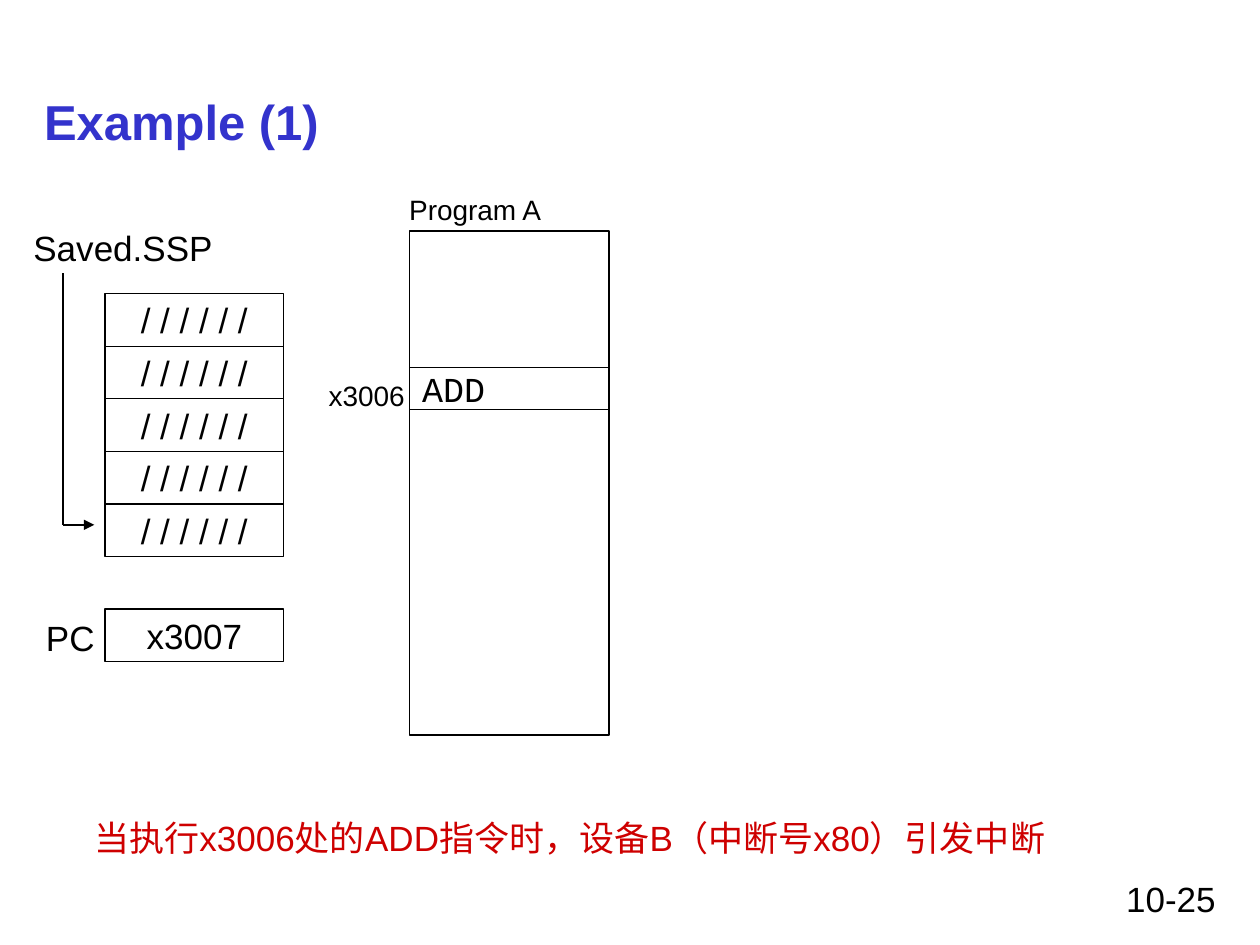
import pptx
import pptx.util
import pptx.dml.color
import pptx.enum.shapes
import pptx.enum.text
import pptx.oxml
import pptx.oxml.ns
from pptx.util import Cm, Pt

RGBColor = pptx.dml.color.RGBColor
BLACK = RGBColor(0x00, 0x00, 0x00)
BLUE = RGBColor(0x33, 0x33, 0xCC)
RED = RGBColor(0xCE, 0x00, 0x00)
LEFT = pptx.enum.text.PP_ALIGN.LEFT
CENTER = pptx.enum.text.PP_ALIGN.CENTER
RIGHT = pptx.enum.text.PP_ALIGN.RIGHT
TOP = pptx.enum.text.MSO_ANCHOR.TOP
MIDDLE = pptx.enum.text.MSO_ANCHOR.MIDDLE
FIXED = pptx.enum.text.MSO_AUTO_SIZE.NONE
GROW = pptx.enum.text.MSO_AUTO_SIZE.SHAPE_TO_FIT_TEXT

# Places are left, top, width, height in centimetres.
TITLE = ("Example (1)", (0.64, 1.7, 24.13, 1.47))
PAGE_NUMBER = ("10-25", (18.21, 17.57, 6.55, 1.07))
LABELS = [
    ("PC", (0.66, 12.31, 1.5, 1.09), 20, RIGHT),
    ("Program A", (8.0, 3.76, 3.2, 0.94), 16, LEFT),
    ("x3006", (6.35, 7.5, 2.06, 0.94), 16, RIGHT),
    ("Saved.SSP", (0.34, 4.45, 4.2, 1.09), 20, RIGHT),
]
CAPTION = ("当执行x3006处的ADD指令时，设备B（中断号x80）引发中断",
           (1.65, 16.33, 19.84, 1.12))

STACK = ["/ / / / / /"] * 5
STACK_LEFT, STACK_TOP = 2.12, 5.92
CELL_WIDTH, CELL_HEIGHT = 3.6, 1.06
PC_VALUE, PC_ROW = "x3007", 6

PROGRAM_PLACE = (8.26, 4.66, 4.02, 10.16)
INSTRUCTION = ("ADD", (8.26, 7.41, 4.02, 0.85))

POINTER_X, POINTER_TOP, POINTER_BOTTOM, POINTER_TIP = 1.27, 5.51, 10.58, 1.9


def write(shape, text, size=20, align=LEFT, wrap=False, anchor=TOP,
          fit=FIXED, color=BLACK, bold=False, font="Arial"):
    frame = shape.text_frame
    frame_format = {"word_wrap": wrap, "vertical_anchor": anchor,
                    "auto_size": fit}
    for name, value in frame_format.items():
        setattr(frame, name, value)
    paragraph = frame.paragraphs[0]
    paragraph.alignment = align
    run = paragraph.add_run()
    run.text = text
    run.font.color.rgb = color
    for name, value in {"name": font, "size": Pt(size), "bold": bold}.items():
        setattr(run.font, name, value)


def add_label(slide, text, place, **text_format):
    box = slide.shapes.add_textbox(*map(Cm, place))
    write(box, text, **text_format)


def add_box(slide, place, text=None, **text_format):
    """Add an unfilled, thinly outlined rectangle with optional text."""
    box = slide.shapes.add_shape(
        pptx.enum.shapes.MSO_SHAPE.RECTANGLE, *map(Cm, place))
    box.shadow.inherit = False
    box.fill.background()
    box.line.color.rgb = BLACK
    box.line.width = Pt(0.75)
    if text:
        write(box, text, anchor=MIDDLE, **text_format)


def add_line(slide, start, end, arrow=False):
    line = slide.shapes.add_connector(
        pptx.enum.shapes.MSO_CONNECTOR.STRAIGHT, *map(Cm, start + end))
    line.line.color.rgb = BLACK
    line.line.width = Pt(1.5)
    properties = line.line._get_or_add_ln()
    if arrow:
        head = pptx.oxml.parse_xml(
            f'<a:tailEnd {pptx.oxml.ns.nsdecls("a")} type="triangle"/>')
        properties.append(head)
    properties.addnext(pptx.oxml.parse_xml(
        f'<a:effectLst {pptx.oxml.ns.nsdecls("a")}/>'))


def main():
    presentation = pptx.Presentation()
    presentation.slide_width = Cm(25.4)
    presentation.slide_height = Cm(19.05)
    slide = presentation.slides.add_slide(presentation.slide_layouts[6])

    add_label(slide, *TITLE, size=28, wrap=True, anchor=MIDDLE,
              color=BLUE, bold=True)
    add_label(slide, *PAGE_NUMBER, align=RIGHT, wrap=True)

    stack_rows = list(enumerate(STACK)) + [(PC_ROW, PC_VALUE)]
    for row, text in stack_rows:
        top = STACK_TOP + row * CELL_HEIGHT
        add_box(slide, (STACK_LEFT, top, CELL_WIDTH, CELL_HEIGHT), text,
                align=CENTER)

    add_box(slide, PROGRAM_PLACE)
    instruction, place = INSTRUCTION
    add_box(slide, place, instruction, font="Courier New")

    for text, place, size, align in LABELS:
        add_label(slide, text, place, size=size, align=align, fit=GROW)
    add_label(slide, *CAPTION, wrap=True, fit=GROW, color=RED)

    corner = (POINTER_X, POINTER_BOTTOM)
    add_line(slide, corner, (POINTER_TIP, POINTER_BOTTOM), arrow=True)
    add_line(slide, corner, (POINTER_X, POINTER_TOP))

    presentation.save("out.pptx")


if __name__ == "__main__":
    main()
